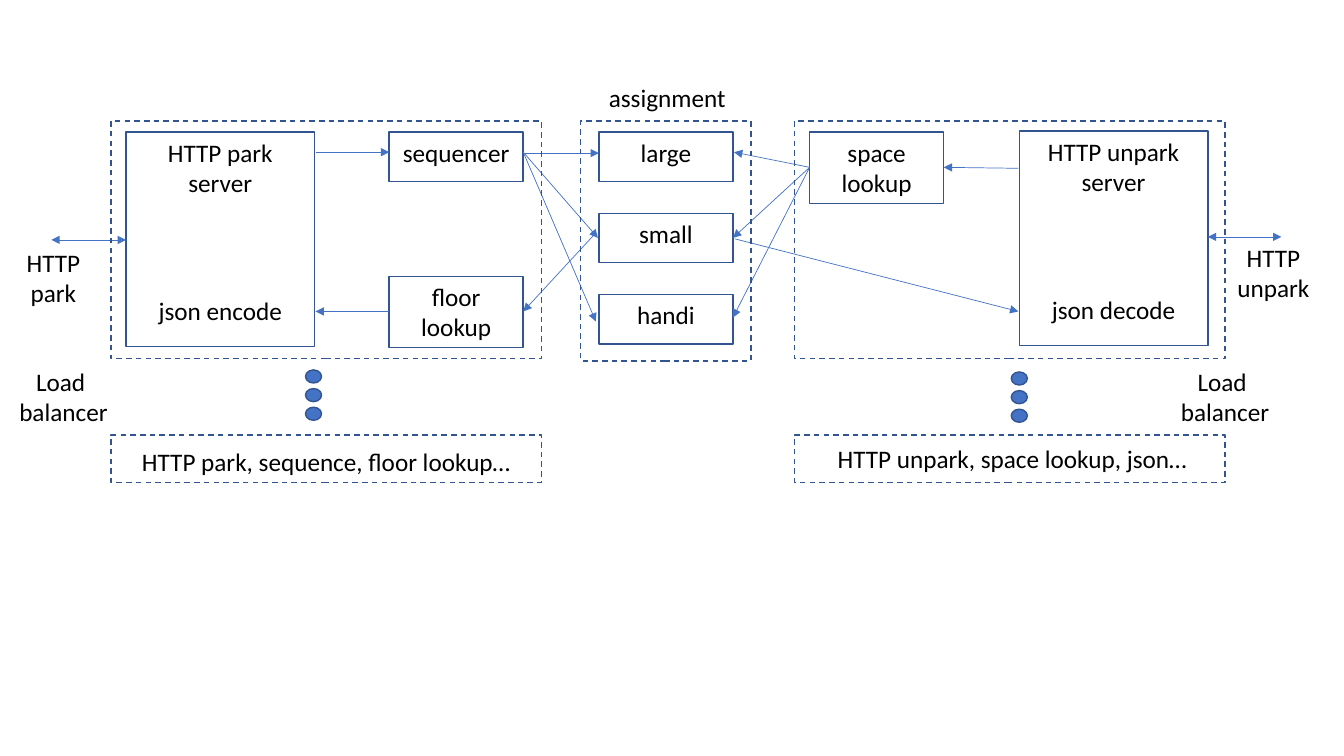
import pptx
import pptx.dml.color
import pptx.enum.dml
import pptx.enum.shapes
import pptx.enum.text
import pptx.oxml
import pptx.oxml.ns
import pptx.util

SHAPES = pptx.enum.shapes.MSO_SHAPE
ALIGN = pptx.enum.text.PP_ALIGN


def colour(hex_value):
    return pptx.dml.color.RGBColor.from_string(hex_value)


def write(frame, text, font="Calibri", size=18, ink="000000", align=ALIGN.CENTER, gap=0, wrap=True):
    frame.word_wrap = wrap
    frame.vertical_anchor = pptx.enum.text.MSO_ANCHOR.TOP
    for index, content in enumerate(text.split("\n")):
        paragraph = frame.add_paragraph() if index else frame.paragraphs[0]
        paragraph.alignment = align
        if index:
            paragraph.space_before = pptx.util.Pt(gap)
        run = paragraph.add_run()
        run.text = content
        run.font.name = font
        run.font.size = pptx.util.Pt(size)
        run.font.color.rgb = colour(ink)


class Diagram:
    columns, rows = 133.3, 75
    outline, accent = "325491", "4472C4"

    def __init__(self, deck):
        self.width, self.height = deck.slide_width, deck.slide_height
        self.slide = deck.slides.add_slide(deck.slide_layouts[6])

    def x(self, column):
        return round(self.width * column / self.columns)

    def y(self, row):
        return round(self.height * row / self.rows)

    def area(self, left, top, width, height):
        return self.x(left), self.y(top), self.x(width), self.y(height)

    def shape(self, kind, place, owner=None, fill=None, dashed=False):
        shape = (owner or self.slide).shapes.add_shape(kind, *self.area(*place))
        shape.shadow.inherit = False
        if fill:
            shape.fill.solid()
            shape.fill.fore_color.rgb = colour(fill)
        else:
            shape.fill.background()
        shape.line.color.rgb = colour(self.outline)
        shape.line.width = pptx.util.Pt(1)
        if dashed:
            shape.line.dash_style = pptx.enum.dml.MSO_LINE.DASH
        return shape

    def box(self, place, text, **style):
        write(self.shape(SHAPES.RECTANGLE, place).text_frame, text, **style)

    def region(self, place):
        self.shape(SHAPES.RECTANGLE, place, dashed=True)

    def label(self, place, text, **style):
        write(self.slide.shapes.add_textbox(*self.area(*place)).text_frame, text, **style)

    def dots(self, left, top, step=1.85):
        group = self.slide.shapes.add_group_shape()
        for index in range(3):
            self.shape(SHAPES.OVAL, (left, top + index * step, 1.6, 1.3), group, self.accent)

    def arrow(self, start, end, ends=("tailEnd",)):
        line = self.slide.shapes.add_connector(
            pptx.enum.shapes.MSO_CONNECTOR.STRAIGHT,
            self.x(start[0]), self.y(start[1]), self.x(end[0]), self.y(end[1]))
        line.line.color.rgb = colour(self.accent)
        line.line.width = pptx.util.Pt(0.5)
        stroke = line.line._get_or_add_ln()
        namespace = pptx.oxml.ns.nsdecls("a")
        for end_name in ends:
            stroke.append(pptx.oxml.parse_xml(f'<a:{end_name} {namespace} type="triangle"/>'))
        stroke.addnext(pptx.oxml.parse_xml(f"<a:effectLst {namespace}/>"))


def main():
    deck = pptx.Presentation()
    deck.slide_width = pptx.util.Inches(13.33)
    deck.slide_height = pptx.util.Inches(7.5)
    diagram = Diagram(deck)

    park, sequence, assignment, space, unpark = 12.5, 38.6, 59.4, 80.3, 101.1
    step_width, server_width = 13.3, 18.7
    top, level = 13.1, 8.07

    diagram.box((park, top, server_width, 21.3), "HTTP park server\njson encode", gap=70)
    diagram.box((unpark, 13, server_width, 21.3), "HTTP unpark server\njson decode", gap=70)
    diagram.box((sequence, top, step_width, 4.9), "sequencer")
    diagram.box((sequence, 27.4, step_width, 7.1), "floor lookup")
    diagram.box((space, top, step_width, 7.1), "space lookup")
    for index, size in enumerate(("large", "small", "handi")):
        diagram.box((assignment, top + index * level, step_width, 4.9), size)

    sequencer_out, space_out = (51.9, 15.1), (80.3, 16.6)
    for start, end in (
        ((31.3, 15.1), (38.6, 15.1)),
        ((52.1, 15.2), (59.4, 15.2)),
        (sequencer_out, (59.3, 23.6)),
        (sequencer_out, (59.1, 31.9)),
        ((59.1, 23.1), (51.9, 30.9)),
        ((38.6, 30.9), (31.3, 30.9)),
        ((101, 16.7), (93.6, 16.6)),
        (space_out, (72.8, 15.1)),
        (space_out, (72.7, 23.6)),
        (space_out, (72.7, 31.5)),
        ((72.9, 23.7), (101, 30.9)),
    ):
        diagram.arrow(start, end)
    for start, end in (((12.5, 23.8), (5.1, 23.8)), ((127.1, 23.5), (119.8, 23.5))):
        diagram.arrow(start, end, ("headEnd", "tailEnd"))

    for left in (11, 78.8):
        diagram.region((left, 12, 42.7, 23.6))
        diagram.region((left, 43.15, 42.7, 4.7))
    diagram.region((57.6, 12, 16.9, 23.8))
    diagram.dots(30.3, 36.7)
    diagram.dots(100.3, 36.9)

    diagram.label((0, 24, 10.6, 7.1), "HTTP park")
    diagram.label((121, 23.5, 10.6, 7.1), "HTTP unpark")
    for left in (0, 115.2):
        diagram.label((left, 35.8, 12.6, 7.1), "Load \nbalancer")
    for place, text in (
        ((13.1, 43.8, 39.7, 4), "HTTP park, sequence, floor lookup…"),
        ((82.1, 43.5, 37.8, 4), "HTTP unpark, space lookup, json…"),
        ((59.4, 7.7, 13.7, 4), "assignment"),
    ):
        diagram.label(place, text, align=ALIGN.LEFT, wrap=False)

    deck.save("out.pptx")


if __name__ == "__main__":
    main()
